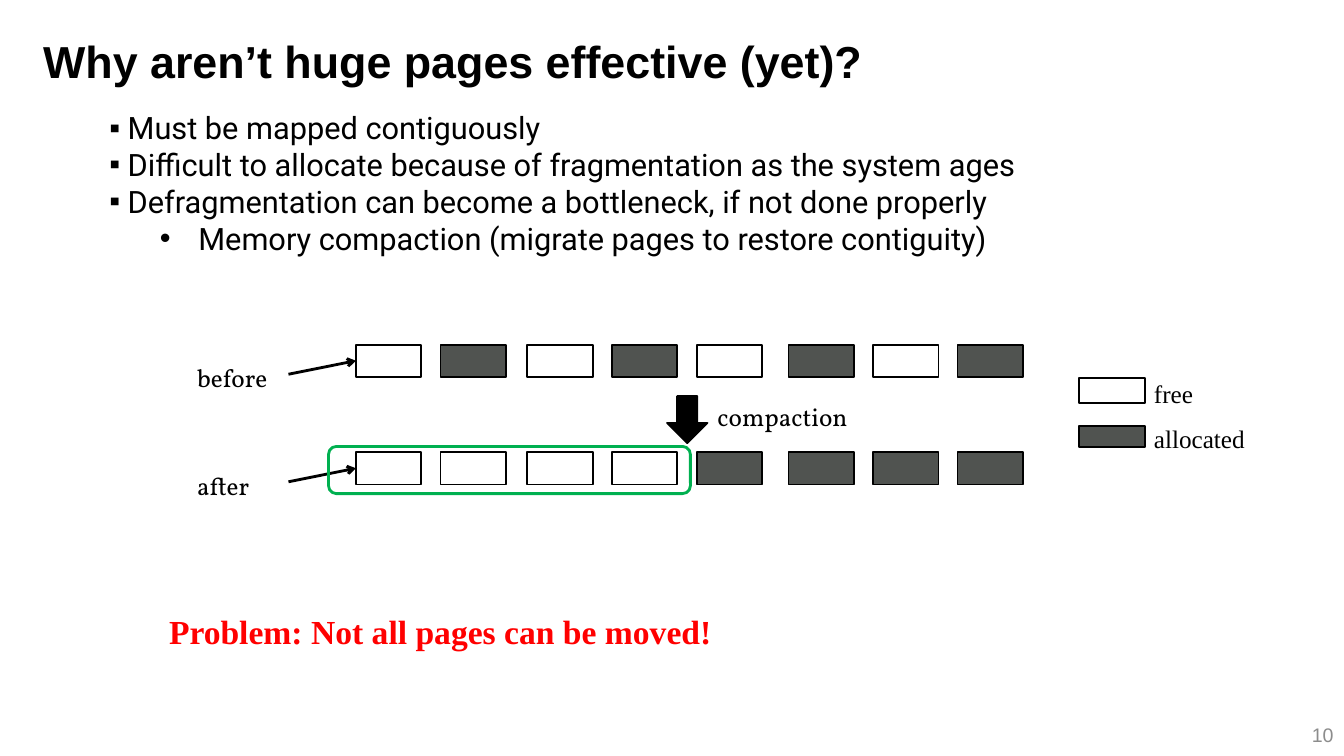
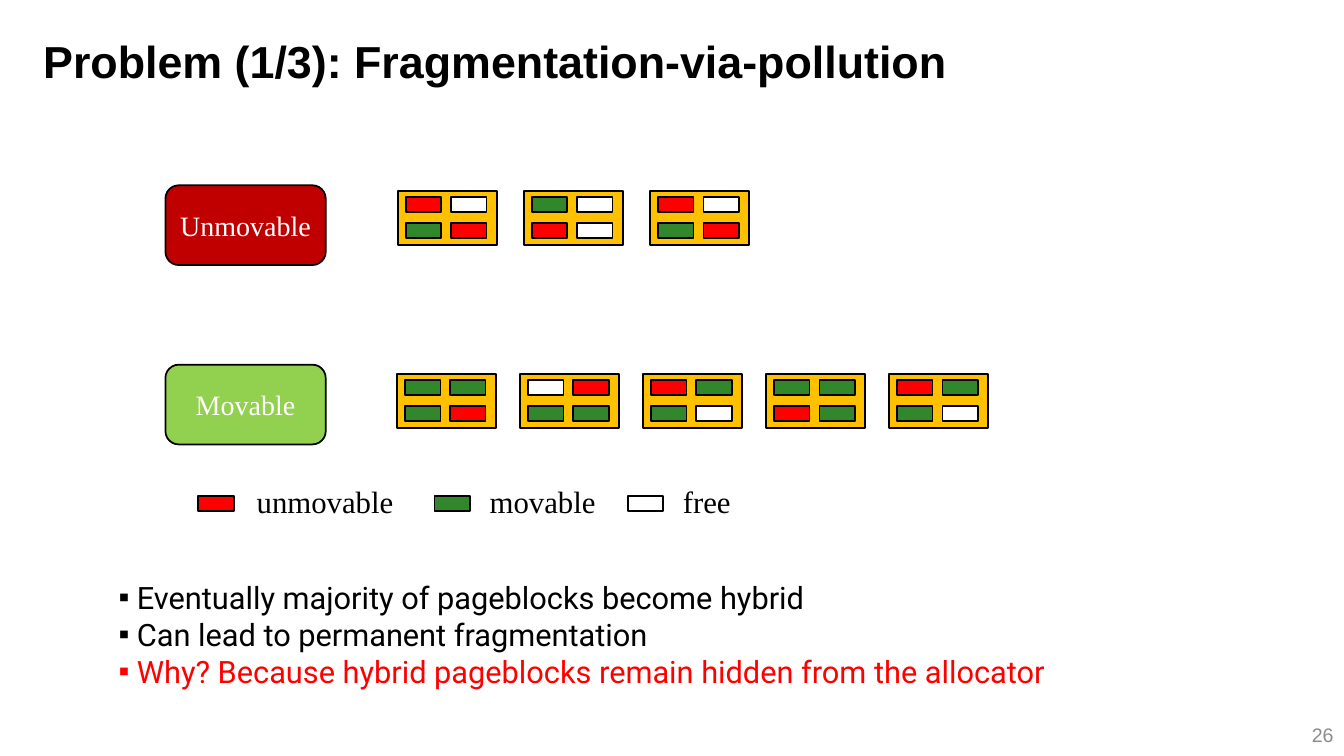
from lxml.etree import SubElement
from pptx import Presentation
from pptx.dml.color import RGBColor
from pptx.enum.shapes import MSO_CONNECTOR, MSO_SHAPE
from pptx.enum.text import MSO_ANCHOR, PP_ALIGN
from pptx.oxml.ns import qn
from pptx.util import Cm, Pt

HUES = {
    "black": "000000", "white": "FFFFFF", "gray": "505350", "pale": "8C8C8C",
    "red": "FF0000", "dark red": "C00000", "green": "32872D",
    "lime": "92D050", "gold": "FFC000", "frame": "00B050",
}
FONTS = {
    "title": {"name": "Arial", "size": Pt(32), "bold": True},
    "number": {"name": "Arial", "size": Pt(14)},
    "list": {"name": "Roboto", "size": Pt(22)},
    "label": {"name": "Vollkorn", "size": Pt(18)},
    "key": {"name": "Times New Roman", "size": Pt(18)},
    "big key": {"name": "Times New Roman", "size": Pt(22)},
    "tag": {"name": "Times New Roman", "size": Pt(20)},
    "alert": {"name": "Times New Roman", "size": Pt(24), "bold": True},
}
# Level: bullet sign, left margin, hanging indent (cm)
BULLETS = [("▪", 0.46, 0.46), ("•", 2.24, 0.97)]
# Kinds of page on the pollution slide
KINDS = {"U": "red", "M": "green", "F": "white"}


# Basic parts; every box is (left, top, width, height) in cm
def hue(name):
    return RGBColor.from_string(HUES[name])


def write(para, text, style, color="black"):
    run = para.add_run()
    run.text = text
    for key, value in FONTS[style].items():
        setattr(run.font, key, value)
    run.font.color.rgb = hue(color)


def add_text(slide, box, text, style, color="black",
             anchor=MSO_ANCHOR.TOP, align=PP_ALIGN.LEFT, spacing=None):
    frame = slide.shapes.add_textbox(*map(Cm, box)).text_frame
    frame.word_wrap = True
    frame.vertical_anchor = anchor
    para = frame.paragraphs[0]
    para.alignment = align
    para.line_spacing = spacing
    write(para, text, style, color)


def add_shape(slide, box, fill, kind=MSO_SHAPE.RECTANGLE, line="black", width=1.25):
    shape = slide.shapes.add_shape(kind, *map(Cm, box))
    shape.shadow.inherit = False
    if fill:
        shape.fill.solid()
        shape.fill.fore_color.rgb = hue(fill)
    else:
        shape.fill.background()
    shape.line.color.rgb = hue(line)
    shape.line.width = Pt(width)
    return shape


def add_arrow(slide, start, end):
    arrow = slide.shapes.add_connector(MSO_CONNECTOR.STRAIGHT, *map(Cm, start + end))
    arrow.line.color.rgb = hue("black")
    arrow.line.width = Pt(2)
    SubElement(arrow.line._get_or_add_ln(), qn("a:tailEnd"), type="arrow")
    SubElement(arrow._element.spPr, qn("a:effectLst"))


def add_list(slide, box, items):
    frame = slide.shapes.add_textbox(*map(Cm, box)).text_frame
    frame.word_wrap = True
    for index, (text, level, color) in enumerate(items):
        para = frame.add_paragraph() if index else frame.paragraphs[0]
        sign, left, hang = BULLETS[level]
        para.level = level
        props = para._p.get_or_add_pPr()
        props.set("marL", str(Cm(left)))
        props.set("indent", str(-Cm(hang)))
        SubElement(props, qn("a:buFont"), typeface="Arial")
        SubElement(props, qn("a:buChar"), char=sign)
        write(para, text, "list", color)


# Title and page number shared by the slides
def add_slide(deck, title, number):
    slide = deck.slides.add_slide(deck.slide_layouts[6])
    add_text(slide, (0.84, 0.3, 25.2, 2.03), title, "title",
             anchor=MSO_ANCHOR.BOTTOM, spacing=0.8)
    add_text(slide, (26.24, 18.01, 7.62, 1.02), number, "number", "pale",
             MSO_ANCHOR.MIDDLE, PP_ALIGN.RIGHT)
    return slide


# Row of memory pages with its label and arrow
def add_row(slide, left, top, label, pages):
    gaps = (0, 2.13, 4.32, 6.45, 8.59, 10.9, 13.03, 15.16)
    for gap, page in zip(gaps, pages):
        fill = "white" if page == "F" else "gray"
        add_shape(slide, (left + gap, top, 1.65, 0.81), fill)
    add_text(slide, (left - 4.25, top + 0.32, 4.62, 1.02), label, "label")
    add_arrow(slide, (left - 1.7, top + 0.74), (left, top + 0.4))


# Block of two by two pages
def add_block(slide, left, top, pages):
    add_shape(slide, (left, top, 2.49, 1.37), "gold")
    for index, page in enumerate(pages):
        row, col = divmod(index, 2)
        box = (left + 0.2 + 1.14 * col, top + 0.15 + 0.66 * row, 0.89, 0.38)
        add_shape(slide, box, KINDS[page])


# Tag and its blocks
def add_group(slide, left, top, tag, fill, start, drop, pitch, blocks):
    card = add_shape(slide, (left, top, 4.04, 2.01), fill, MSO_SHAPE.ROUNDED_RECTANGLE)
    frame = card.text_frame
    frame.vertical_anchor = MSO_ANCHOR.MIDDLE
    frame.paragraphs[0].alignment = PP_ALIGN.CENTER
    write(frame.paragraphs[0], tag, "tag", "white")
    for index, pages in enumerate(blocks):
        add_block(slide, left + start + pitch * index, top + drop, pages)


def build_huge(deck):
    slide = add_slide(deck, "Why aren’t huge pages effective (yet)?", "10")
    add_list(slide, (2.51, 2.62, 25.83, 4.01), [
        ("Must be mapped contiguously", 0, "black"),
        ("Difficult to allocate because of fragmentation as the system ages", 0, "black"),
        ("Defragmentation can become a bottleneck, if not done properly", 0, "black"),
        ("Memory compaction (migrate pages to restore contiguity)", 1, "black"),
    ])
    # Compaction
    add_row(slide, 8.97, 8.69, "before", "FAFAFAFA")
    add_row(slide, 8.97, 11.4, "after", "FFFFAAAA")
    add_shape(slide, (16.81, 9.98, 1.02, 1.19), "black", MSO_SHAPE.DOWN_ARROW)
    add_text(slide, (17.83, 9.98, 4.62, 1.02), "compaction", "label")
    add_shape(slide, (8.28, 11.25, 9.12, 1.19), None,
              MSO_SHAPE.ROUNDED_RECTANGLE, "frame", 2)
    # Legend
    for top, tall, drop, label, fill in ((9.52, 0.64, -0.1, "free", "white"),
                                         (10.74, 0.53, -0.2, "allocated", "gray")):
        add_shape(slide, (27.2, top, 1.65, tall), fill)
        add_text(slide, (28.83, top + drop, 3.84, 1.02), label, "key")
    add_text(slide, (4.01, 15.27, 17.45, 1.27),
             "Problem: Not all pages can be moved!", "alert", "red")


def build_mix(deck):
    slide = add_slide(deck, "Problem (1/3): Fragmentation-via-pollution", "26")
    # Groups
    add_group(slide, 4.17, 4.67, "Unmovable", "dark red", 5.86, 0.14, 3.18,
              ("UFMU", "MFUF", "UFMU"))
    add_group(slide, 4.17, 9.19, "Movable", "lime", 5.84, 0.23, 3.1,
              ("MMMU", "FUMM", "UMMF", "MMUM", "UMMF"))
    # Legend
    for left, gap, label, kind in ((5, 1.22, "unmovable", "U"),
                                   (10.95, 1.14, "movable", "M"),
                                   (15.82, 1.14, "free", "F")):
        add_shape(slide, (left, 12.5, 0.89, 0.38), KINDS[kind])
        add_text(slide, (left + gap, 12.04, 4.42, 1.19), label, "big key")
    add_list(slide, (2.74, 14.45, 29.41, 3.07), [
        ("Eventually majority of pageblocks become hybrid", 0, "black"),
        ("Can lead to permanent fragmentation", 0, "black"),
        ("Why? Because hybrid pageblocks remain hidden from the allocator", 0, "red"),
    ])


def main():
    deck = Presentation()
    deck.slide_width, deck.slide_height = Cm(33.87), Cm(19.05)
    build_huge(deck)
    build_mix(deck)
    deck.save("out.pptx")


if __name__ == "__main__":
    main()
